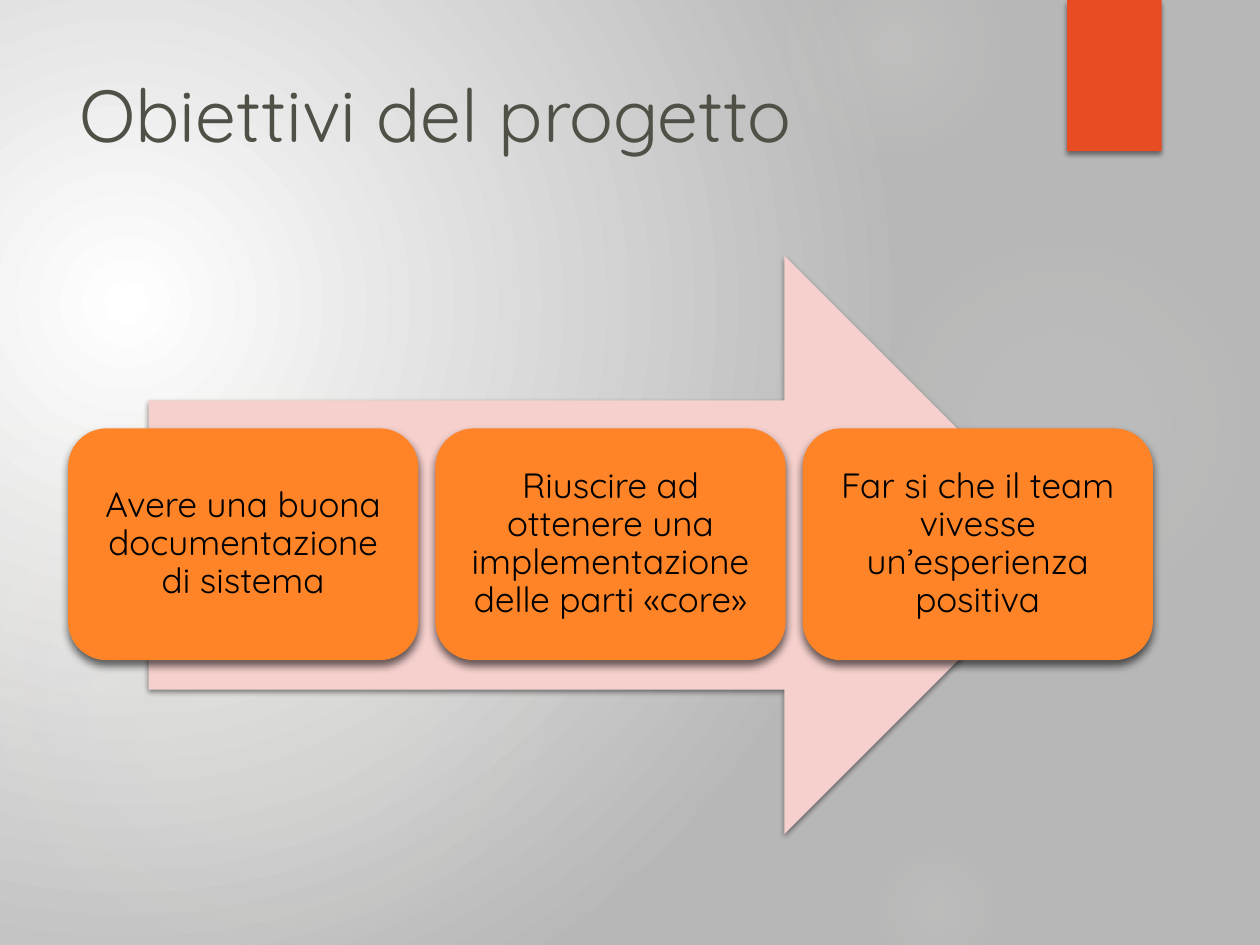
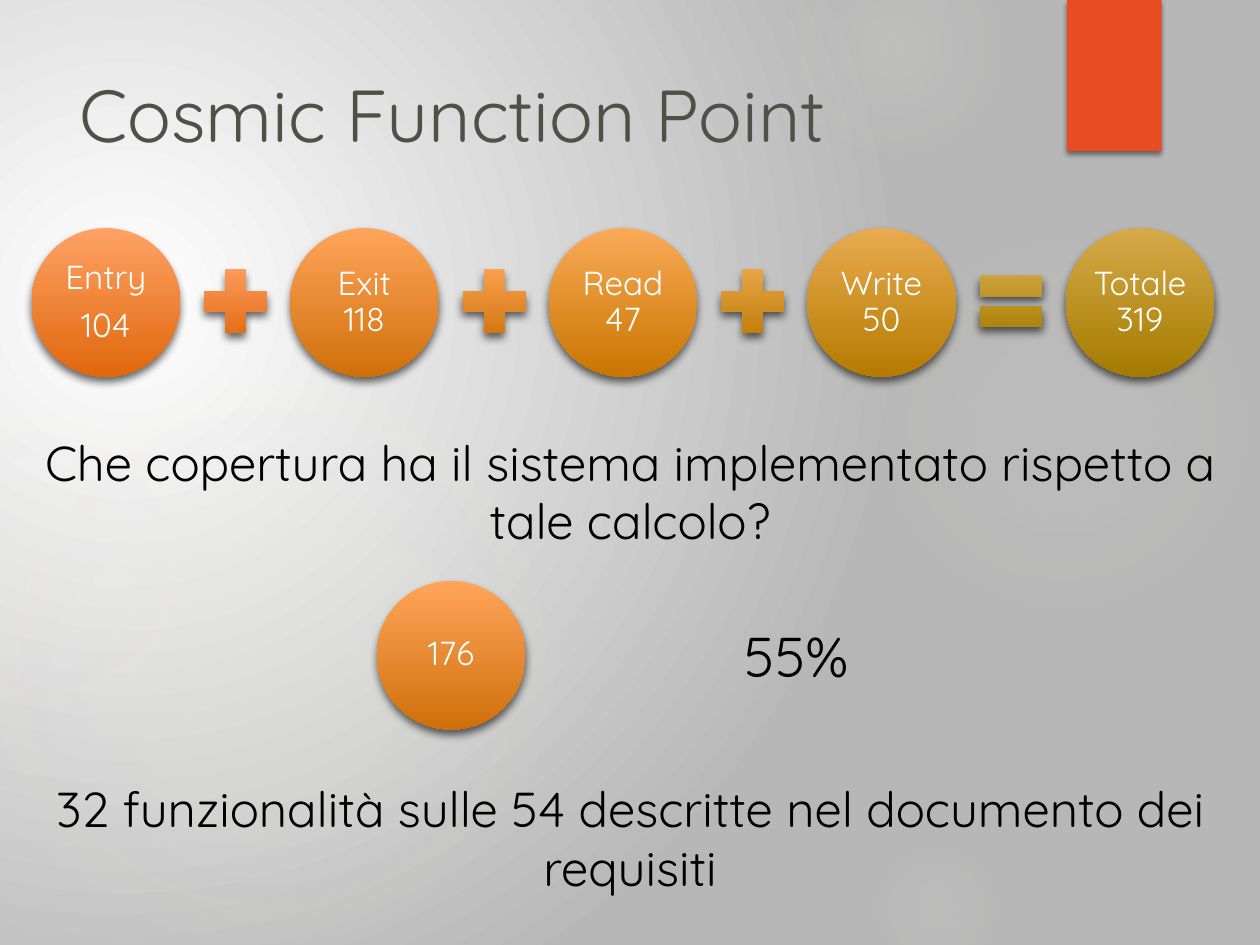
from dataclasses import dataclass

from pptx import Presentation
from pptx.dml.color import RGBColor
from pptx.enum.shapes import MSO_SHAPE
from pptx.enum.text import MSO_ANCHOR, MSO_AUTO_SIZE, PP_ALIGN
from pptx.oxml import parse_xml
from pptx.oxml.ns import nsdecls
from pptx.util import Inches, Pt

RECT, ROUND, OVAL = MSO_SHAPE.RECTANGLE, MSO_SHAPE.ROUNDED_RECTANGLE, MSO_SHAPE.OVAL
ARROW, PLUS, EQUAL = MSO_SHAPE.RIGHT_ARROW, MSO_SHAPE.MATH_PLUS, MSO_SHAPE.MATH_EQUAL
TOP, MIDDLE = MSO_ANCHOR.TOP, MSO_ANCHOR.MIDDLE
LEFT, CENTER = PP_ALIGN.LEFT, PP_ALIGN.CENTER
NO_FIT = MSO_AUTO_SIZE.NONE

COLUMNS, ROWS = 100, 75
TITLE_ONLY = 5


@dataclass(frozen=True)
class Theme:
    font: str = "Quicksand"
    title: str = "505046"
    ink: str = "000000"
    light: str = "FFFFFF"
    back_edge: str = "B7B7B7"
    glow: str = "F5F4ED"
    ribbon: str = "E84C22"
    arrow: str = "F6D0CD"
    card: str = "FF8427"
    title_size: int = 42
    figure_size: int = 32
    body_size: int = 28
    card_size: int = 20
    circle_size: int = 19
    # Shadows: opacity %, blur pt, distance pt
    soft: tuple = (45, 3, 2)
    strong: tuple = (60, 5, 3)


# Glows: left, top, diameter, then (position %, opacity %) stops
GLOWS = [
    (68.9, 18.3, 30.8, [(0, 7), (36, 6), (69, 0)]),
    (62.2, -5, 17.5, [(0, 14), (36, 7), (73, 0)]),
    (68.9, 66.7, 10.8, [(0, 9), (36, 5), (66, 0)]),
    (-1.7, 29.2, 45.8, [(0, 11), (36, 10), (75, 0)]),
    (-9.2, 31.7, 25.8, [(0, 8), (36, 8), (72, 0)]),
]


def gradient(stops, focus=None):
    """Gradient from (position, colour, opacity) stops: round with a focus, else downwards."""
    marks = "".join(
        f'<a:gs pos="{pos * 1000}"><a:srgbClr val="{color}">'
        f'<a:alpha val="{alpha * 1000}"/></a:srgbClr></a:gs>'
        for pos, color, alpha in stops)
    if focus:
        sides = " ".join(f'{side}="{share * 1000}"' for side, share in zip("ltrb", focus))
        kind = f'<a:path path="circle"><a:fillToRect {sides}/></a:path>'
    else:
        kind = '<a:lin ang="5400000" scaled="0"/>'
    return parse_xml(f'<a:gradFill {nsdecls("a")} rotWithShape="1">'
                     f'<a:gsLst>{marks}</a:gsLst>{kind}</a:gradFill>')


def downward(top, bottom):
    return gradient([(0, top, 100), (100, bottom, 100)])


def apply(target, **values):
    for name, value in values.items():
        setattr(target, name, value)


class Deck:
    def __init__(self, theme):
        self.theme = theme
        self.prs = Presentation()
        apply(self.prs, slide_width=Inches(10), slide_height=Inches(7.5))
        self.slide = None
        self.set_background()

    def box(self, left, top, width, height):
        col, row = self.prs.slide_width / COLUMNS, self.prs.slide_height / ROWS
        return [round(n) for n in (left * col, top * row, width * col, height * row)]

    def set_background(self):
        t = self.theme
        master = self.prs.slide_master
        master.background.fill.solid()
        solid = master._element.xpath("./p:cSld/p:bg//a:solidFill")[0]
        stops = [(0, t.light, 100), (100, t.back_edge, 100)]
        solid.getparent().replace(solid, gradient(stops, (45, 65, 125, 100)))

    def new_slide(self, title):
        t = self.theme
        self.slide = self.prs.slides.add_slide(self.prs.slide_layouts[TITLE_ONLY])
        # Glows and ribbon lie behind the title
        for left, top, size, fades in GLOWS:
            stops = [(pos, t.glow, alpha) for pos, alpha in fades]
            self.shape(OVAL, (left, top, size, size), gradient(stops, (50, 50, 50, 50)))
        self.shape(RECT, (84.7, 0, 7.5, 12), t.ribbon, t.soft)
        sp = self.slide.shapes.title
        sp._element.getparent().append(sp._element)
        place = self.box(5.3, 5, 77.2, 15.3)
        apply(sp, **dict(zip(("left", "top", "width", "height"), place)))
        self.set_text(sp, [title], t.title_size, t.title, LEFT, TOP)

    def shape(self, kind, place, fill, shadow=None):
        """Preset shape with a colour or a gradient element as its fill."""
        sp = self.slide.shapes.add_shape(kind, *self.box(*place))
        sp.fill.solid()
        props = sp._element.spPr
        if isinstance(fill, str):
            sp.fill.fore_color.rgb = RGBColor.from_string(fill)
        else:
            props.replace(props.xpath("./a:solidFill")[0], fill)
        sp.line.fill.background()
        sp.shadow.inherit = False
        if shadow:
            alpha, blur, dist = shadow
            props.xpath("./a:effectLst")[0].append(parse_xml(
                f'<a:outerShdw {nsdecls("a")} blurRad="{Pt(blur)}" dist="{Pt(dist)}" '
                f'dir="5400000" rotWithShape="0"><a:srgbClr val="{self.theme.ink}">'
                f'<a:alpha val="{alpha * 1000}"/></a:srgbClr></a:outerShdw>'))
        return sp

    def set_text(self, sp, paragraphs, size, color, align=CENTER, anchor=MIDDLE,
                 inset=None, **spacing):
        tf = sp.text_frame
        apply(tf, word_wrap=True, auto_size=NO_FIT, vertical_anchor=anchor)
        if inset is not None:
            for side in ("left", "top", "right", "bottom"):
                setattr(tf, f"margin_{side}", Inches(inset))
        for i, text in enumerate(paragraphs):
            p = tf.add_paragraph() if i else tf.paragraphs[0]
            p.text = text
            apply(p, alignment=align, **spacing)
            for r in p.runs:
                apply(r.font, name=self.theme.font, size=Pt(size))
                r.font.color.rgb = RGBColor.from_string(color)

    def label(self, sp, paragraphs, size, color, inset):
        self.set_text(sp, paragraphs, size, color, inset=inset,
                      line_spacing=0.9, space_after=Pt(round(size * 0.35)))

    def text(self, place, text, size, align=CENTER):
        sp = self.slide.shapes.add_textbox(*self.box(*place))
        self.set_text(sp, [text], size, self.theme.ink, align, TOP)

    def card(self, place, text):
        t = self.theme
        sp = self.shape(ROUND, place, t.card, t.strong)
        self.label(sp, [text], t.card_size, t.ink, 0.08)

    def circle(self, left, top, paragraphs, colors):
        t = self.theme
        sp = self.shape(OVAL, (left, top, 11.8, 11.8), downward(*colors), t.strong)
        self.label(sp, paragraphs, t.circle_size, t.light, 0.03)

    def operator(self, kind, left, top, colors):
        self.shape(kind, (left, top, 6.8, 6.8), downward(*colors), self.theme.strong)


def goals_slide(deck):
    deck.new_slide("Obiettivi del progetto")
    deck.shape(ARROW, (11.8, 20.3, 73.4, 45.9), deck.theme.arrow, deck.theme.soft)
    goals = [
        "Avere una buona documentazione di sistema",
        "Riuscire ad ottenere una implementazione delle parti «core»",
        "Far si che il team vivesse un’esperienza positiva",
    ]
    for i, goal in enumerate(goals):
        deck.card((5.4 + i * 29.15, 34, 27.8, 18.4), goal)


def function_points_slide(deck):
    t = deck.theme
    deck.new_slide("Cosmic Function Point")

    # Sum of the movements
    exit_colors = ("FFA55B", "D06F0A")
    terms = [
        (["Entry", "104"], ("FFA266", "E0670C")),
        (["Exit\n118"], exit_colors),
        (["Read\n47"], ("FAAA57", "C87600")),
        (["Write\n50"], ("E8AB50", "B67A00")),
        (["Totale\n319"], ("D6AA49", "A47B00")),
    ]
    operators = [
        (PLUS, ("FFA266", "E0670C")),
        (PLUS, ("FFA759", "CD7107")),
        (PLUS, ("EEAB52", "BC7900")),
        (EQUAL, ("D6AA49", "A47B00")),
    ]
    pitch = 20.52
    for i, (paragraphs, colors) in enumerate(terms):
        deck.circle(2.5 + i * pitch, 18.1, paragraphs, colors)
    for i, (kind, colors) in enumerate(operators):
        deck.operator(kind, 15.3 + i * pitch, 20.5, colors)

    # Coverage of the system
    deck.text((0, 33.8, COLUMNS, 10.4),
              "Che copertura ha il sistema implementato rispetto a tale calcolo?", t.body_size)
    deck.circle(29.9, 46.1, ["176"], exit_colors)
    deck.text((58.1, 48.8, 12.1, 6.4), "55%", t.figure_size, LEFT)
    deck.text((0, 61.3, COLUMNS, 10.4),
              "32 funzionalità sulle 54 descritte nel documento dei requisiti", t.body_size)


def main():
    deck = Deck(Theme())
    goals_slide(deck)
    function_points_slide(deck)
    deck.prs.save("out.pptx")


if __name__ == "__main__":
    main()
